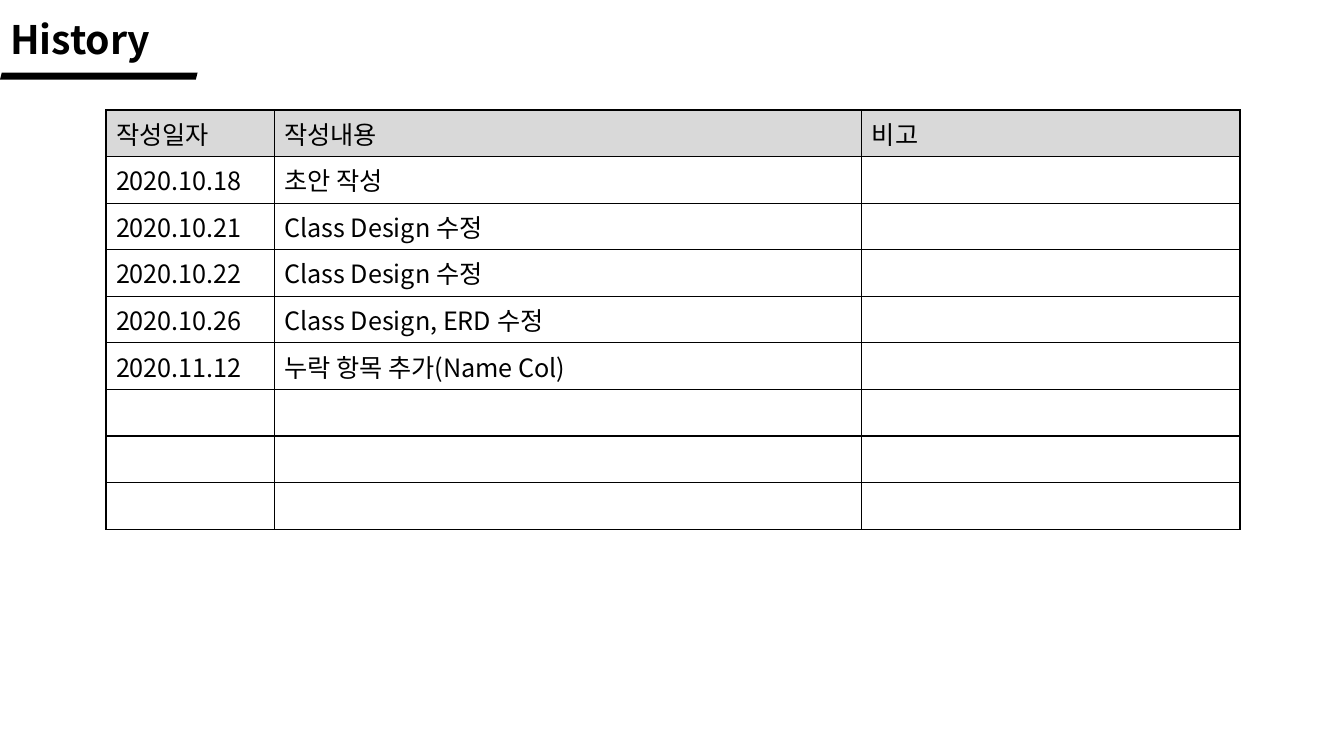
from lxml.etree import SubElement
from pptx import Presentation
from pptx.dml.color import RGBColor
from pptx.enum.shapes import MSO_SHAPE as Preset
from pptx.enum.text import MSO_ANCHOR as Anchor, MSO_AUTO_SIZE as AutoSize, PP_ALIGN as Align
from pptx.oxml.ns import qn
from pptx.util import Cm, Pt

HEADING = "History"
HEADER = ("작성일자", "작성내용", "비고")
REVISIONS = [
    ("2020.10.18", "초안 작성"),
    ("2020.10.21", "Class Design 수정"),
    ("2020.10.22", "Class Design 수정"),
    ("2020.10.26", "Class Design, ERD 수정"),
    ("2020.11.12", "누락 항목 추가(Name Col)"),
]
SPARE_ROWS = 3
COLUMN_WIDTHS = (4.24, 14.81, 9.53)
ROW_HEIGHT = 1.06

FONT = "Noto Sans CJK KR"
BLACK = RGBColor(0x00, 0x00, 0x00)
WHITE = RGBColor(0xFF, 0xFF, 0xFF)
GRAY = RGBColor(0xD9, 0xD9, 0xD9)


def add_typefaces(properties):
    """Set the Latin and East Asian typefaces on text properties."""
    for script in ("a:latin", "a:ea"):
        SubElement(properties, qn(script), typeface=FONT)


def format_text(paragraph, size, bold=False):
    """Format every run, or the empty paragraph, in the slide's font."""
    for run in paragraph.runs:
        run.font.size, run.font.bold = Pt(size), bold
        run.font.color.rgb = BLACK
        add_typefaces(run.font._element)
    if not paragraph.runs:
        add_typefaces(SubElement(paragraph._p, qn("a:endParaRPr"), sz=str(size * 100)))


def add_borders(cell):
    """Draw a thin black line on each side of a cell."""
    properties = cell._tc.get_or_add_tcPr()
    for side in ("a:lnL", "a:lnR", "a:lnT", "a:lnB"):
        border = SubElement(properties, qn(side), w=str(Pt(1)))
        color = SubElement(border, qn("a:solidFill"))
        SubElement(color, qn("a:srgbClr"), val=str(BLACK))


def add_heading(slide):
    """Place the heading and the bar under it."""
    heading = slide.shapes.title
    heading.left, heading.top, heading.width, heading.height = Cm(0), Cm(0.25), Cm(5.3), Cm(1.45)
    frame = heading.text_frame
    frame.text = HEADING
    frame.word_wrap = False
    frame.auto_size = AutoSize.NONE
    frame.vertical_anchor = Anchor.MIDDLE
    frame.paragraphs[0].alignment = Align.LEFT
    format_text(frame.paragraphs[0], 28, bold=True)

    underline = slide.shapes.add_shape(Preset.PARALLELOGRAM, Cm(0), Cm(1.83), Cm(4.98), Cm(0.18))
    underline.shadow.inherit = False
    underline.fill.solid()
    underline.fill.fore_color.rgb = BLACK
    underline.line.fill.background()


def add_history(slide):
    """Build the revision table with its spare rows."""
    rows = [HEADER, *REVISIONS] + [()] * SPARE_ROWS
    history = slide.shapes.add_table(
        len(rows), len(HEADER), Cm(2.67), Cm(2.77),
        Cm(sum(COLUMN_WIDTHS)), Cm(ROW_HEIGHT * len(rows))).table
    for column, width in zip(history.columns, COLUMN_WIDTHS):
        column.width = Cm(width)
    for row_index, entries in enumerate(rows):
        history.rows[row_index].height = Cm(ROW_HEIGHT)
        for column_index in range(len(HEADER)):
            cell = history.cell(row_index, column_index)
            if column_index < len(entries):
                cell.text_frame.text = entries[column_index]
            format_text(cell.text_frame.paragraphs[0], 18)
            add_borders(cell)
            cell.fill.solid()
            cell.fill.fore_color.rgb = WHITE if row_index else GRAY


def main():
    """Create the history slide."""
    deck = Presentation()
    deck.slide_width, deck.slide_height = Cm(33.87), Cm(19.05)
    slide = deck.slides.add_slide(deck.slide_layouts[5])
    add_history(slide)
    add_heading(slide)
    deck.save("out.pptx")


main()
